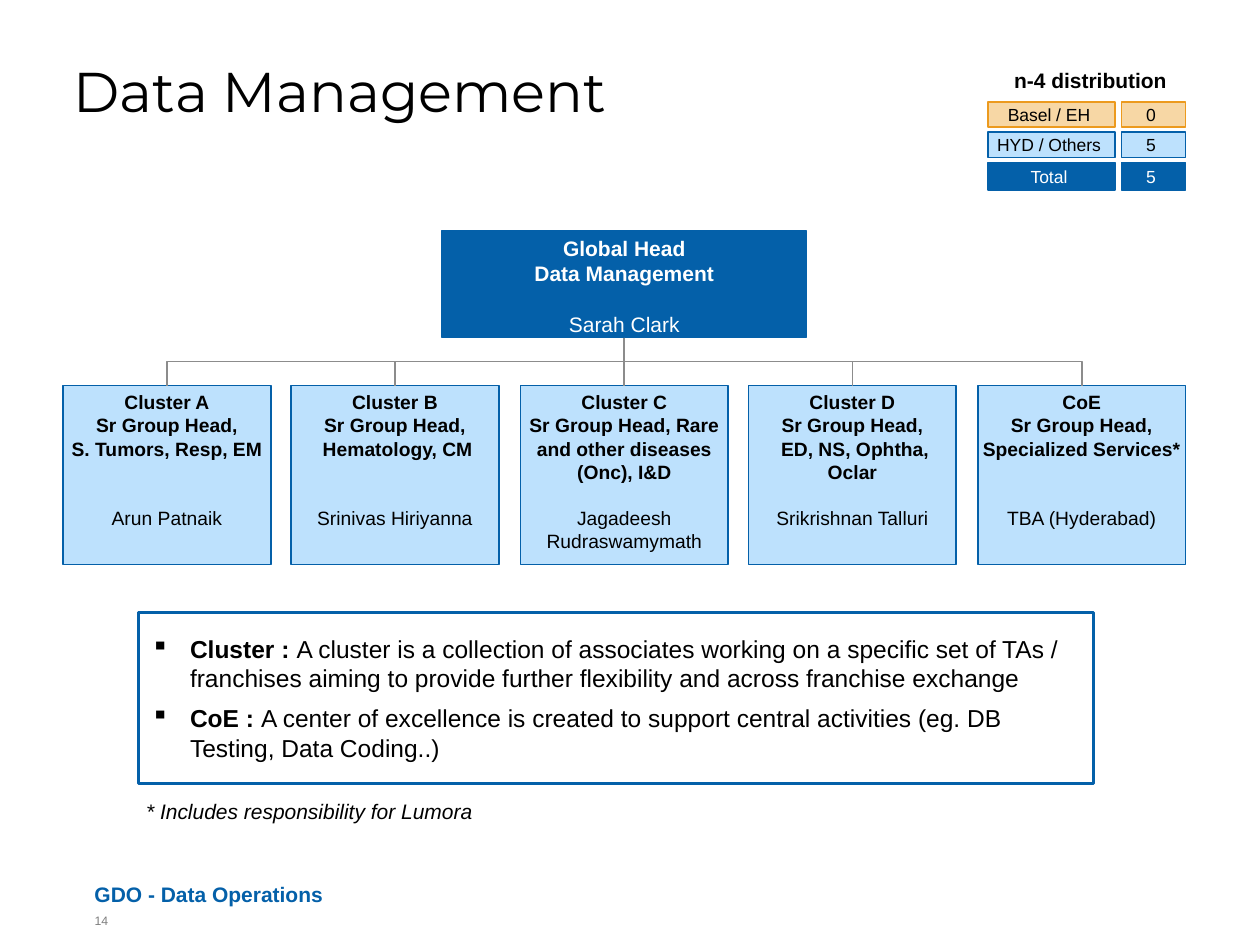
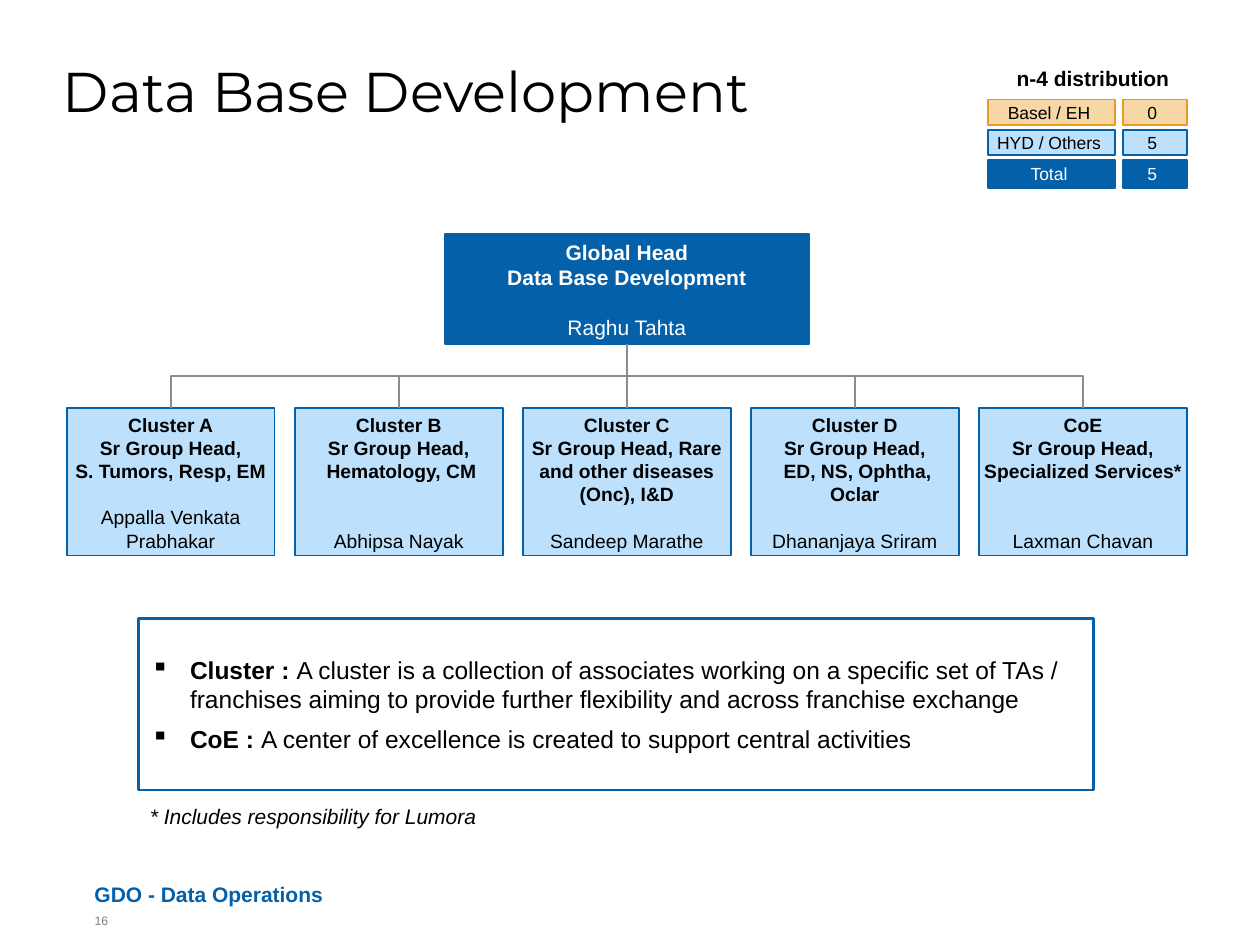
from dataclasses import dataclass
from typing import NamedTuple

from lxml.etree import SubElement
from pptx import Presentation
from pptx.dml.color import RGBColor
from pptx.enum.shapes import MSO_CONNECTOR, MSO_SHAPE
from pptx.enum.text import MSO_ANCHOR, PP_ALIGN
from pptx.oxml.ns import qn
from pptx.util import Emu, Pt

EMU_PER_PX = 9144
BLUE, PALE_BLUE = "0460A9", "BDE1FD"
ORANGE, PALE_ORANGE = "EC9A1E", "F7D7A5"
BLACK, WHITE, LINE_GRAY, NUMBER_GRAY = "000000", "FFFFFF", "8C8C8C", "7F7F7F"
BODY_FONT, TITLE_FONT = "Arial", "Montserrat"
LINE_HEIGHT = 1.2
NO_INSETS, CARD_INSETS = (0, 0, 0, 0), (4, 4, 4, 4)
CELL_INSETS, DEFAULT_INSETS = (0, 0, 4, 0), (10, 5, 10, 5)
HEAD_WIDTH, CLUSTER_WIDTH = 289, 165


class Box(NamedTuple):
    left: int
    top: int
    width: int
    height: int


class DistributionRow(NamedTuple):
    label: str
    count: str
    fill: str
    line: str
    color: str
    height: int


class Leader(NamedTuple):
    name: str
    blank_lines: int


@dataclass
class OrganizationPage:
    title: str
    title_left: int
    number: str
    head_name: str
    head: Box
    leaders: list[Leader]
    first_left: int
    last_left: int
    cluster_top: int
    cluster_height: int
    table_top: int
    count_left: int
    caption_left: int
    legend_top: int
    center_definition: str
    note_left: int
    note_top: int


ROLES = [
    ["Cluster A", "Sr Group Head,", "S. Tumors, Resp, EM"],
    ["Cluster B", "Sr Group Head,", " Hematology, CM"],
    ["Cluster C", "Sr Group Head, Rare and other diseases (Onc), I&D"],
    ["Cluster D", "Sr Group Head,", " ED, NS, Ophtha, Oclar"],
    ["CoE", "Sr Group Head,", "Specialized Services*"],
]

DISTRIBUTION = [
    DistributionRow("Basel / EH", "0", PALE_ORANGE, ORANGE, BLACK, 20),
    DistributionRow("HYD / Others", "5", PALE_BLUE, BLUE, BLACK, 20),
    DistributionRow("Total", "5", BLUE, BLUE, WHITE, 22),
]

CLUSTER_DEFINITION = (
    "A cluster is a collection of associates working on a specific set of TAs / "
    "franchises aiming to provide further flexibility and across franchise exchange"
)
CENTER_DEFINITION = "A center of excellence is created to support central activities"

PAGES = [
    OrganizationPage(
        title="Data Management", title_left=58, number="14",
        head_name="Sarah Clark", head=Box(351, 183, HEAD_WIDTH, 85),
        leaders=[
            Leader("Arun Patnaik", 2),
            Leader("Srinivas Hiriyanna", 2),
            Leader("Jagadeesh Rudraswamymath", 1),
            Leader("Srikrishnan Talluri", 1),
            Leader("TBA (Hyderabad)", 2),
        ],
        first_left=50, last_left=776, cluster_top=306, cluster_height=142,
        table_top=81, count_left=890, caption_left=795, legend_top=486,
        center_definition=CENTER_DEFINITION + " (eg. DB Testing, Data Coding..)",
        note_left=116, note_top=634,
    ),
    OrganizationPage(
        title="Data Base Development", title_left=50, number="16",
        head_name="Raghu Tahta", head=Box(353, 186, HEAD_WIDTH, 87),
        leaders=[
            Leader("Appalla Venkata Prabhakar", 1),
            Leader("Abhipsa Nayak", 2),
            Leader("Sandeep Marathe", 1),
            Leader("Dhananjaya Sriram", 1),
            Leader("Laxman Chavan", 2),
        ],
        first_left=53, last_left=777, cluster_top=324, cluster_height=117,
        table_top=79, count_left=891, caption_left=797, legend_top=491,
        center_definition=CENTER_DEFINITION,
        note_left=119, note_top=638,
    ),
]


def px(value: float) -> Emu:
    return Emu(round(value * EMU_PER_PX))


def rgb(value: str) -> RGBColor:
    return RGBColor.from_string(value)


def prepare_frame(shape, insets: tuple, anchor) -> None:
    frame = shape.text_frame
    frame.word_wrap = True
    frame.vertical_anchor = anchor
    (frame.margin_left, frame.margin_top,
     frame.margin_right, frame.margin_bottom) = map(px, insets)


def add_text_box(slide, box: Box, insets=NO_INSETS, anchor=MSO_ANCHOR.TOP):
    shape = slide.shapes.add_textbox(*map(px, box))
    prepare_frame(shape, insets, anchor)
    return shape


def add_rectangle(slide, box: Box, fill: str, line: str, insets: tuple,
                  anchor=MSO_ANCHOR.TOP, line_width: float = 1):
    shape = slide.shapes.add_shape(MSO_SHAPE.RECTANGLE, *map(px, box))
    shape.shadow.inherit = False
    shape.fill.solid()
    shape.fill.fore_color.rgb = rgb(fill)
    shape.line.color.rgb = rgb(line)
    shape.line.width = Pt(line_width)
    prepare_frame(shape, insets, anchor)
    return shape


def write(shape, text: str, *, size: float, color: str = BLACK, bold: bool = False,
          italic: bool = False, font: str = BODY_FONT, align=PP_ALIGN.LEFT,
          before: float = 0, after: float = 0, spacing: float = 1,
          lead: str = "", bullet: str = "") -> None:
    frame = shape.text_frame
    paragraph = frame.paragraphs[0]
    if paragraph.runs:
        paragraph = frame.add_paragraph()
    paragraph.alignment = align
    paragraph.line_spacing = spacing
    paragraph.space_before = Pt(before)
    paragraph.space_after = Pt(after)
    if bullet:
        properties = paragraph._p.get_or_add_pPr()
        properties.set("marL", str(px(31)))
        properties.set("indent", str(px(-31)))
        SubElement(properties, qn("a:buChar")).set("char", bullet)
    for content, is_bold in ((lead, True), (text, bold)):
        if content:
            run = paragraph.add_run()
            run.text = content
            run.font.name = font
            run.font.size = Pt(size)
            run.font.bold = is_bold
            run.font.italic = italic
            run.font.color.rgb = rgb(color)


def add_position(slide, box: Box, role: list[str], leader: Leader,
                 fill: str, color: str, size: float):
    shape = add_rectangle(slide, box, fill, BLUE, CARD_INSETS)
    for line in role:
        write(shape, line, size=size, color=color, bold=True, align=PP_ALIGN.CENTER)
    write(shape, leader.name, size=size, color=color, align=PP_ALIGN.CENTER,
          before=round(leader.blank_lines * size * LINE_HEIGHT, 1))
    return shape


def connect(slide, head, cluster) -> None:
    start_x, start_y = head.left + head.width // 2, head.top + head.height
    end_x, end_y = cluster.left + cluster.width // 2, cluster.top
    run, drop = end_x - start_x, end_y - start_y
    kind = MSO_CONNECTOR.ELBOW if run else MSO_CONNECTOR.STRAIGHT
    connector = slide.shapes.add_connector(kind, start_x, start_y, end_x, end_y)
    connector.begin_connect(head, 2)
    connector.end_connect(cluster, 0)
    connector.line.color.rgb = rgb(LINE_GRAY)
    connector.line.width = Pt(1)
    properties = connector._element.spPr
    SubElement(properties, qn("a:effectLst"))
    if run:
        connector.left = Emu((start_x + end_x - drop) // 2)
        connector.top = Emu((start_y + end_y - abs(run)) // 2)
        connector.width, connector.height = Emu(drop), Emu(abs(run))
        transform = properties.find(qn("a:xfrm"))
        transform.set("rot", str((90 if run < 0 else 270) * 60000))
        transform.set("flipH", "0" if run < 0 else "1")


def add_frame(slide, page: OrganizationPage) -> None:
    footer = add_text_box(slide, Box(75, 695, 650, 25), anchor=MSO_ANCHOR.BOTTOM)
    write(footer, "GDO - Data Operations", size=12, color=BLUE, bold=True)
    number = add_text_box(slide, Box(75, 725, 25, 25))
    write(number, page.number, size=7, color=NUMBER_GRAY)
    title = add_text_box(slide, Box(page.title_left, 49, 850, 105))
    write(title, page.title, size=32, font=TITLE_FONT, spacing=0.95)


def add_distribution(slide, page: OrganizationPage) -> None:
    caption = add_text_box(slide, Box(page.caption_left, page.table_top - 32, 154, 30),
                           DEFAULT_INSETS)
    write(caption, "n-4 distribution", size=12, bold=True)
    for index, row in enumerate(DISTRIBUTION):
        top = page.table_top + 24 * index
        for left, width, text in ((784, 101, row.label), (page.count_left, 51, row.count)):
            cell = add_rectangle(slide, Box(left, top, width, row.height), row.fill,
                                 row.line, CELL_INSETS, MSO_ANCHOR.MIDDLE)
            write(cell, text, size=10, color=row.color, align=PP_ALIGN.CENTER)


def add_organization(slide, page: OrganizationPage) -> None:
    head = add_position(slide, page.head, ["Global Head", page.title],
                        Leader(page.head_name, 1), BLUE, WHITE, 12)
    span = page.last_left - page.first_left
    for index, (role, leader) in enumerate(zip(ROLES, page.leaders)):
        left = page.first_left + span * index // (len(ROLES) - 1)
        box = Box(left, page.cluster_top, CLUSTER_WIDTH, page.cluster_height)
        cluster = add_position(slide, box, role, leader, PALE_BLUE, BLACK, 11)
        connect(slide, head, cluster)


def add_legend(slide, page: OrganizationPage) -> None:
    legend = add_rectangle(slide, Box(110, page.legend_top, 758, 136), WHITE, BLUE,
                           DEFAULT_INSETS, MSO_ANCHOR.MIDDLE, 1.5)
    for lead, definition in (("Cluster : ", CLUSTER_DEFINITION),
                             ("CoE : ", page.center_definition)):
        write(legend, definition, lead=lead, size=14, after=6, bullet="▪")
    note = add_text_box(slide, Box(page.note_left, page.note_top, 666, 20),
                        anchor=MSO_ANCHOR.MIDDLE)
    write(note, "* Includes responsibility for Lumora", size=12, italic=True)


def main() -> None:
    presentation = Presentation()
    presentation.slide_width, presentation.slide_height = px(1000), px(750)
    for page in PAGES:
        slide = presentation.slides.add_slide(presentation.slide_layouts[6])
        add_frame(slide, page)
        add_distribution(slide, page)
        add_organization(slide, page)
        add_legend(slide, page)
    presentation.save("out.pptx")


if __name__ == "__main__":
    main()
